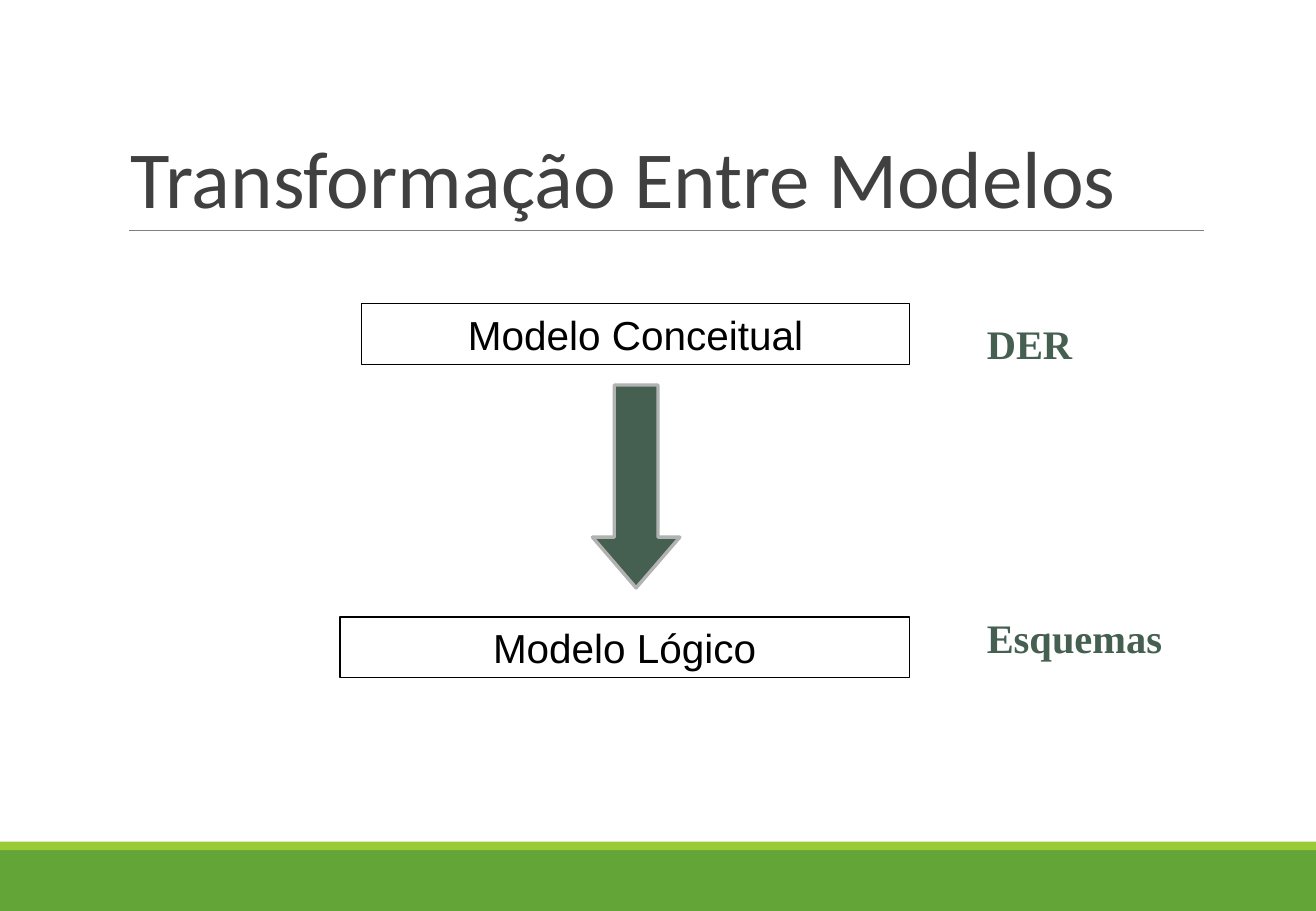
from lxml.etree import SubElement
from pptx import Presentation
from pptx.dml.color import RGBColor
from pptx.enum.shapes import MSO_CONNECTOR, MSO_SHAPE
from pptx.enum.text import MSO_ANCHOR, PP_ALIGN
from pptx.oxml.ns import qn
from pptx.util import Pt

EMU_PER_PX = 9144  # 100 px to the inch
SLIDE_WIDTH, SLIDE_HEIGHT = 1084, 750

WHITE = RGBColor(0xFF, 0xFF, 0xFF)
BLACK = RGBColor(0x00, 0x00, 0x00)
TITLE_GRAY = RGBColor(0x40, 0x40, 0x40)
RULE_GRAY = RGBColor(0x7F, 0x7F, 0x7F)
ARROW_EDGE = RGBColor(0xB2, 0xB2, 0xB2)
DARK_GREEN = RGBColor(0x45, 0x5F, 0x51)
BAND_GREEN = RGBColor(0x63, 0xA5, 0x37)
LIME = RGBColor(0x99, 0xCB, 0x38)


def px(*lengths):
    return [length * EMU_PER_PX for length in lengths]


class ModelSlide:
    title_font, box_font, label_font = "Calibri", "Arial", "Times New Roman"
    title_size, body_size = 48, 24

    def __init__(self, presentation):
        self.slide = presentation.slides.add_slide(presentation.slide_layouts[6])

    def shape(self, kind, left, top, width, height, fill, edge=None, edge_width=0.75):
        shape = self.slide.shapes.add_shape(kind, *px(left, top, width, height))
        shape.shadow.inherit = False
        shape.fill.solid()
        shape.fill.fore_color.rgb = fill
        if edge is None:
            shape.line.fill.background()
        else:
            shape.line.color.rgb = edge
            shape.line.width = Pt(edge_width)
        return shape

    def rule(self, left, right, y):
        line = self.slide.shapes.add_connector(
            MSO_CONNECTOR.STRAIGHT, *px(left, y, right, y))
        line.line.color.rgb = RULE_GRAY
        line.line.width = Pt(0.5)
        SubElement(line._element.spPr, qn("a:effectLst"))

    def add_text(self, shape, text, font, size, color, bold=False,
                 align=PP_ALIGN.LEFT, anchor=MSO_ANCHOR.TOP):
        frame = shape.text_frame
        frame.word_wrap = True
        frame.vertical_anchor = anchor
        paragraph = frame.paragraphs[0]
        paragraph.alignment = align
        run = paragraph.add_run()
        run.text = text
        run.font.name = font
        run.font.size = Pt(size)
        run.font.bold = bold
        run.font.color.rgb = color
        return paragraph

    def title(self, text, left, top, width, height):
        box = self.slide.shapes.add_textbox(*px(left, top, width, height))
        paragraph = self.add_text(box, text, self.title_font, self.title_size,
                                  TITLE_GRAY, anchor=MSO_ANCHOR.BOTTOM)
        paragraph.line_spacing = 0.85

    def model_box(self, text, left, top, width, height):
        box = self.shape(MSO_SHAPE.RECTANGLE, left, top, width, height, WHITE, BLACK)
        self.add_text(box, text, self.box_font, self.body_size, BLACK,
                      align=PP_ALIGN.CENTER)

    def label(self, text, left, top, width, height):
        box = self.slide.shapes.add_textbox(*px(left, top, width, height))
        self.add_text(box, text, self.label_font, self.body_size, DARK_GREEN, bold=True)

    def down_arrow(self, left, top, width, height):
        arrow = self.shape(MSO_SHAPE.DOWN_ARROW, left, top, width, height,
                           DARK_GREEN, ARROW_EDGE, 2)
        arrow.adjustments[0] = 0.5
        arrow.adjustments[1] = 0.58


def main():
    presentation = Presentation()
    presentation.slide_width, presentation.slide_height = px(SLIDE_WIDTH, SLIDE_HEIGHT)
    page = ModelSlide(presentation)

    for top, height, color in ((700, 50, BAND_GREEN), (693, 7, LIME)):
        page.shape(MSO_SHAPE.RECTANGLE, 0, top, SLIDE_WIDTH, height, color)
    page.rule(106, 992, 190)
    page.title("Transformação Entre Modelos", 98, 31, 940, 159)

    boxes_right = 749
    for text, left, top in (("Modelo Conceitual", 298, 250),
                            ("Modelo Lógico", 280, 508)):
        page.model_box(text, left, top, boxes_right - left, 50)
    page.down_arrow(488, 317, 72, 167)
    for text, top in (("DER", 258), ("Esquemas", 500)):
        page.label(text, 803, top, 199, 50)

    presentation.save("out.pptx")


if __name__ == "__main__":
    main()
